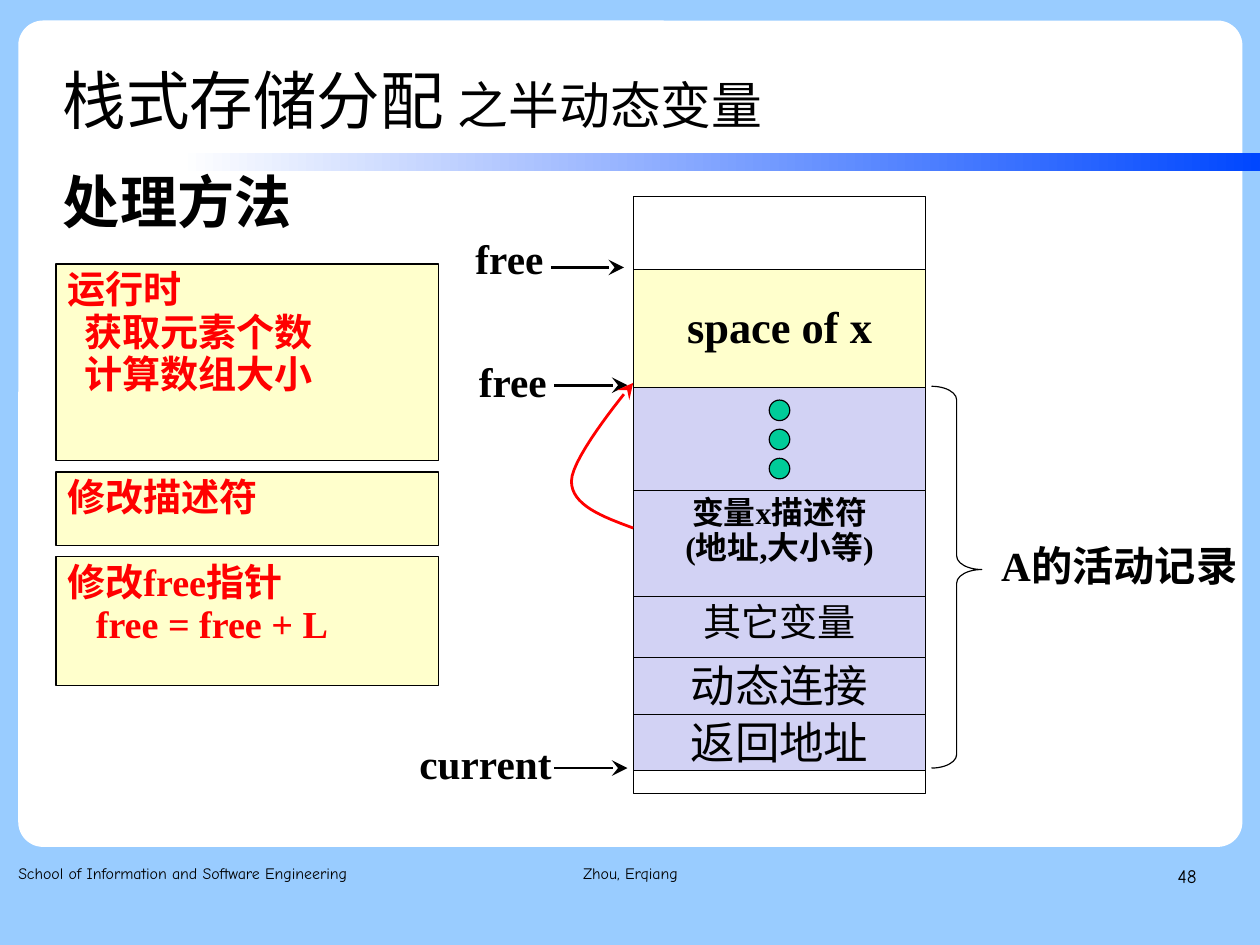
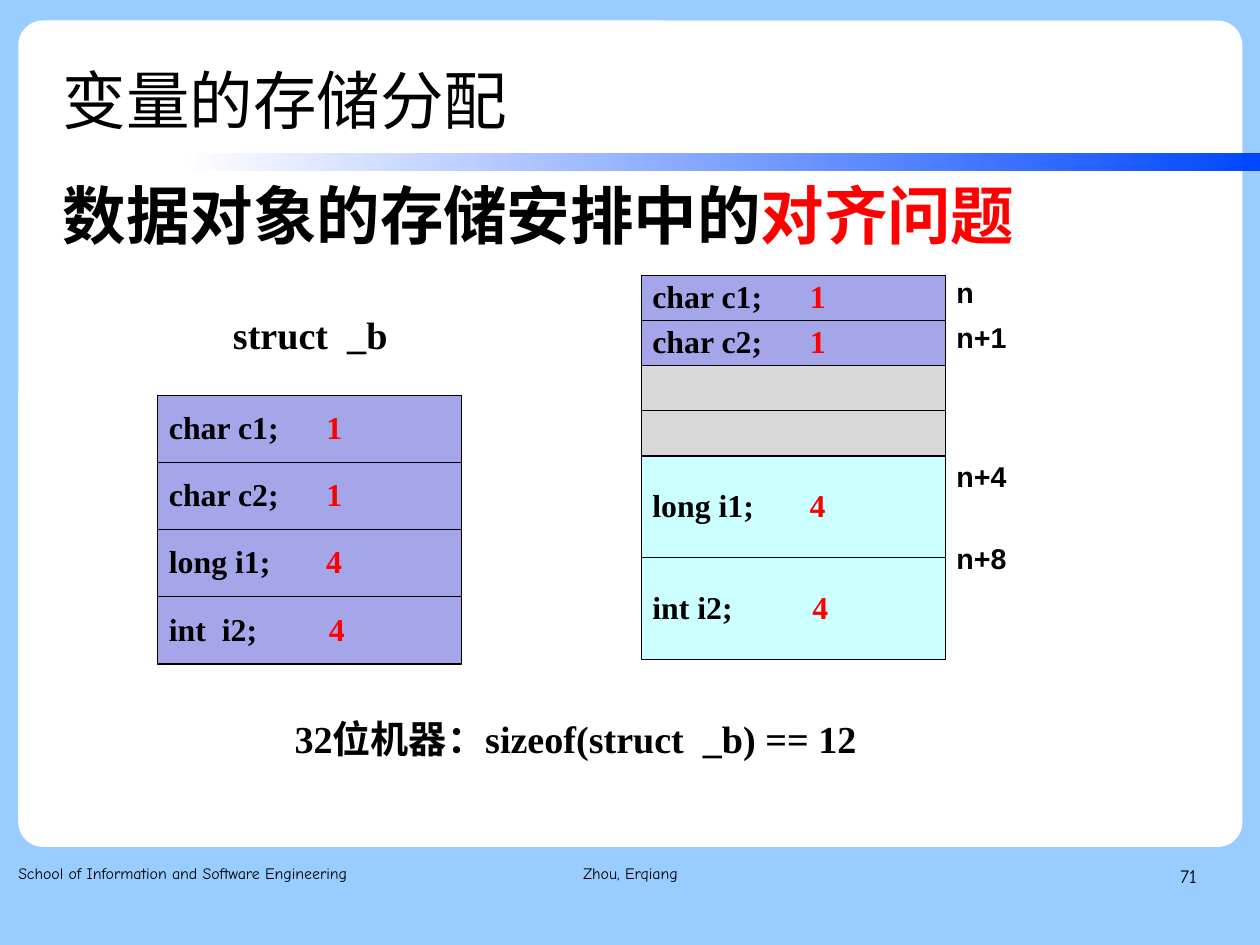
from itertools import accumulate, zip_longest

from lxml import etree
from pptx import Presentation
from pptx.dml.color import RGBColor
from pptx.enum.shapes import MSO_CONNECTOR, MSO_SHAPE as SHAPE
from pptx.enum.text import MSO_ANCHOR as ANCHOR, MSO_AUTO_SIZE as AUTO, PP_ALIGN as ALIGN
from pptx.oxml.ns import qn
from pptx.util import Cm, Inches, Pt

W, H = Cm(28), Cm(21)
BLACK = RGBColor(0, 0, 0)
WHITE = RGBColor(255, 255, 255)
RED = RGBColor(255, 0, 0)
SKY = RGBColor(0x99, 0xCC, 0xFF)
BLUE = RGBColor(0, 0x47, 0xFF)
CREAM = RGBColor(0xFF, 0xFF, 0xCC)
LILAC = RGBColor(0xD2, 0xD2, 0xF4)
VIOLET = RGBColor(0xA5, 0xA5, 0xE9)
CYAN = RGBColor(0xCC, 0xFF, 0xFF)
GREY = RGBColor(0xD9, 0xD9, 0xD9)
GREEN = RGBColor(0, 0xCC, 0x99)
SERIF, SANS, HAND, CJK = "Times New Roman", "Arial", "Comic Neue", "Noto Sans CJK SC"
PAD = (0.1, 0.05, 0.1, 0.05)
LABEL_PAD = (0.11, 0.06, 0, 0.06)


def inches(*values):
    return [Inches(v) for v in values]


# Text: each paragraph is a string or a list of (text, overrides) runs
def write(tf, paras, size=24, font=SERIF, color=BLACK, bold=False, align=ALIGN.LEFT,
          anchor=ANCHOR.TOP, pad=PAD, spacing=0.93, indents=()):
    tf.word_wrap, tf.auto_size, tf.vertical_anchor = True, AUTO.NONE, anchor
    tf.margin_left, tf.margin_top, tf.margin_right, tf.margin_bottom = inches(*pad)
    for i, (para, indent) in enumerate(zip_longest(paras, indents, fillvalue=0)):
        p = tf.paragraphs[0] if i == 0 else tf.add_paragraph()
        p.alignment, p.line_spacing = align, spacing
        p.space_before = p.space_after = Pt(0)
        pPr = p._p.get_or_add_pPr()
        pPr.set("marL", str(Inches(indent)))
        pPr.set("indent", "0")
        etree.SubElement(pPr, qn("a:buNone"))
        for text, own in [(para, {})] if isinstance(para, str) else para:
            r = p.add_run()
            r.text = text
            r.font.size, r.font.name = Pt(own.get("size", size)), font
            r.font.bold = bold
            r.font.color.rgb = own.get("color", color)
            rPr = r._r.get_or_add_rPr()
            etree.SubElement(rPr, qn("a:ea"), typeface=CJK)
            if "tracking" in own:
                rPr.set("spc", str(own["tracking"] * 100))


def label(s, box, text, **fmt):
    tb = s.shapes.add_textbox(*inches(*box))
    write(tb.text_frame, [text], **fmt)
    return tb


# Shapes and lines
def outline(sp, color=BLACK, width=0.75, arrow=False):
    sp.line.color.rgb, sp.line.width = color, Pt(width)
    if arrow:
        etree.SubElement(sp.line._get_or_add_ln(), qn("a:tailEnd"),
                         type="stealth", w="lg", len="lg")


def shape(s, kind, box, fill=None, line=BLACK):
    sp = s.shapes.add_shape(kind, *inches(*box))
    sp.shadow.inherit = False
    if fill is None:
        sp.fill.background()
    else:
        sp.fill.solid()
        sp.fill.fore_color.rgb = fill
    if line is None:
        sp.line.fill.background()
    else:
        outline(sp, line)
    return sp


def arrow(s, x, y, length):
    c = s.shapes.add_connector(MSO_CONNECTOR.STRAIGHT, *inches(x, y, x + length, y))
    outline(c, width=1.75, arrow=True)
    etree.SubElement(c._element.spPr, qn("a:effectLst"))


def curve(s, start, *bends, steps=16):
    points = []
    for c1, c2, end in bends:
        p0 = points[-1] if points else start
        for t in (k / steps for k in range(1, steps + 1)):
            weights = ((1 - t) ** 3, 3 * t * (1 - t) ** 2, 3 * t * t * (1 - t), t ** 3)
            points.append(tuple(sum(w * p[axis] for w, p in zip(weights, (p0, c1, c2, end)))
                                for axis in (0, 1)))
    builder = s.shapes.build_freeform(*inches(*start))
    builder.add_line_segments([inches(*p) for p in points], close=False)
    sp = builder.convert_to_shape()
    sp.shadow.inherit = False
    sp.fill.background()
    outline(sp, RED, 1.75, arrow=True)


def stack(s, box, rows, **shared):
    """Rows of (height, fill, paragraphs, format), downwards; returns the row edges."""
    x, y, w = box
    edges = list(accumulate((row[0] for row in rows), initial=y))
    for top, (height, fill, paras, fmt) in zip(edges, rows):
        sp = shape(s, SHAPE.RECTANGLE, (x, top, w, height), fill)
        if paras:
            write(sp.text_frame, paras, **{**shared, **fmt})
    return edges


# Parts that all slides share
def build_master(prs, s):
    master = prs.slide_master
    master.background.fill.solid()
    master.background.fill.fore_color.rgb = SKY
    panel = shape(s, SHAPE.ROUNDED_RECTANGLE, (0.16, 0.18, 10.71, 7.23), WHITE, None)
    panel.adjustments[0] = 0.03
    band = shape(s, SHAPE.RECTANGLE, (1.57, 1.34, 9.45, 0.16), BLUE, None)
    band.fill.gradient()
    band.fill.gradient_angle = 0
    for stop, color, pos in zip(band.fill.gradient_stops, (WHITE, BLUE), (0, 1)):
        stop.color.rgb, stop.position = color, pos
    for i, sp in enumerate((panel, band)):
        master.shapes._spTree.insert(2 + i, sp._element)


def place(ph, box, paras, **fmt):
    ph.left, ph.top, ph.width, ph.height = inches(*box)
    write(ph.text_frame, paras, **fmt)


def fill_frame(s, title, heading, number, top, size):
    place(s.shapes.title, (0.55, 0.33, 8.58, 1.01), [title], size=40, font=SANS,
          anchor=ANCHOR.MIDDLE, pad=(0, 0, 0, 0), spacing=1.1)
    place(s.placeholders[1], (0.55, top, 10.18, 5.2), [heading], size=size, font=CJK,
          bold=True, pad=(0, 0.02, 0, 0), spacing=0.95)
    for x, w, text, points, align in (
            (0.16, 3.38, "School of Information and Software Engineering", 10, ALIGN.LEFT),
            (3.77, 3.49, "Zhou, Erqiang", 10, ALIGN.CENTER),
            (7.9, 2.57, str(number), 12, ALIGN.RIGHT)):
        label(s, (x, 7.53, w, 0.57), text, size=points, font=HAND, align=align,
              pad=(0, 0, 0, 0), spacing=1.16)


# Semi-dynamic variables: steps on the left, memory on the right
def steps_region(s, x, y, w):
    gap = 0.1
    steps = [(1.72, ["运行时", "获取元素个数", "计算数组大小"], (0, 0.15, 0.15)),
             (0.64, ["修改描述符"], ()),
             (1.13, ["修改free指针", "free = free + L"], (0, 0.25))]
    for height, paras, indents in steps:
        stack(s, (x, y, w), [(height, CREAM, paras, {"indents": indents})],
              bold=True, color=RED)
        y += height + gap


def memory_region(s, x, y, w):
    shape(s, SHAPE.RECTANGLE, (x, y, w, 5.22))
    middle = dict(anchor=ANCHOR.MIDDLE, bold=True)
    edges = stack(s, (x, y + 0.64, w), [
        (1.03, CREAM, ["space of x"], middle),
        (0.9, LILAC, [], {}),
        (0.93, LILAC, ["变量x描述符", "(地址,大小等)"], dict(size=20, bold=True)),
        (0.53, LILAC, ["其它变量"], dict(size=24)),
        (0.5, LILAC, ["动态连接"], {}),
        (0.49, LILAC, ["返回地址"], {}),
    ], size=28, align=ALIGN.CENTER)
    x_top, x_end, descriptor, record_end = edges[0], edges[1], edges[2], edges[-1]

    # Ellipsis dots
    d = 0.18
    for i in range(3):
        shape(s, SHAPE.OVAL, (x + (w - d) / 2, x_end + 0.11 + i * 0.255, d, d), GREEN)

    # Pointers
    for text, edge, text_dx, rise, arrow_dx in (("free", x_top, 1.49, 0.32, 0.72),
                                                ("free", x_end, 1.46, 0.27, 0.69),
                                                ("current", record_end, 1.98, 0.28, 0.69)):
        tip = edge - 0.02
        label(s, (x - text_dx, tip - rise, 1.4, 0.51), text, size=26, bold=True, pad=LABEL_PAD)
        arrow(s, x - arrow_dx, tip, 0.64)

    # Link from the descriptor to the space of x
    far, turn = x - 0.54, x_end + 0.82
    curve(s, (x, descriptor + 0.33),
          ((x - 0.27, turn + 0.31), (far, turn + 0.21), (far, turn)),
          ((far, turn - 0.22), (x, x_end - 0.04), (x, x_end - 0.04)))

    # Brace over the activation record
    brace = shape(s, SHAPE.RIGHT_BRACE, (x + w + 0.05, x_end - 0.01, 0.44, 3.34))
    brace.adjustments[0], brace.adjustments[1] = 0.27, 0.48
    label(s, (x + w + 0.55, 4.71, 2.37, 0.51), "A的活动记录", size=26, bold=True,
          pad=LABEL_PAD)


def semi_dynamic_slide(s):
    fill_frame(s, [("栈式存储分配 ", {}), ("之半动态变量", {"size": 32})], "处理方法",
               48, 1.48, 36)
    steps_region(s, 0.49, 2.31, 3.35)
    memory_region(s, 5.54, 1.72, 2.56)


# Alignment: declared struct on the left, its layout on the right
def field(height, fill, name="", size="", tracking=0):
    paras = [[(name, {}), (" ", {"tracking": tracking}), (size, {"color": RED})]]
    return height, fill, paras if name else [], {}


def alignment_slide(s):
    fill_frame(s, "变量的存储分配", [("数据对象的存储安排中的", {}), ("对齐问题", {"color": RED})],
               71, 1.57, 40)
    chars = [("char c1;", "1", 25), ("char c2;", "1", 25)]
    long_field = ("long i1;", "4", 30)
    fmt = dict(size=20, bold=True, anchor=ANCHOR.MIDDLE)
    w, byte, word = 2.66, 1.58 / 4, 0.89

    label(s, (1.94, 2.71, 1.8, 0.47), "struct  _b", bold=True)
    declared = chars + [long_field, ("int  i2;", "4", 40)]
    stack(s, (1.38, 3.46, w), [field(2.35 / 4, VIOLET, *f) for f in declared], **fmt)

    x = 5.61
    edges = stack(s, (x, 2.41, w),
                  [field(byte, VIOLET, *f) for f in chars]
                  + [field(byte, GREY)] * 2
                  + [field(word, CYAN, *f) for f in (long_field, ("int i2;", "4", 45))], **fmt)
    for text, row, rise in (("n", 0, 0.03), ("n+1", 1, 0.03), ("n+4", 4, 0), ("n+8", 5, 0.17)):
        label(s, (x + w, edges[row] - rise, 0.8, 0.38), text, size=18, font=SANS, bold=True)

    label(s, (2.48, 6.25, 5.6, 0.47), "32位机器：sizeof(struct  _b) == 12", bold=True)


def main():
    prs = Presentation()
    prs.slide_width, prs.slide_height = W, H
    for i, build in enumerate((semi_dynamic_slide, alignment_slide)):
        s = prs.slides.add_slide(prs.slide_layouts[1])
        if i == 0:
            build_master(prs, s)
        build(s)
    prs.save("out.pptx")


if __name__ == "__main__":
    main()
